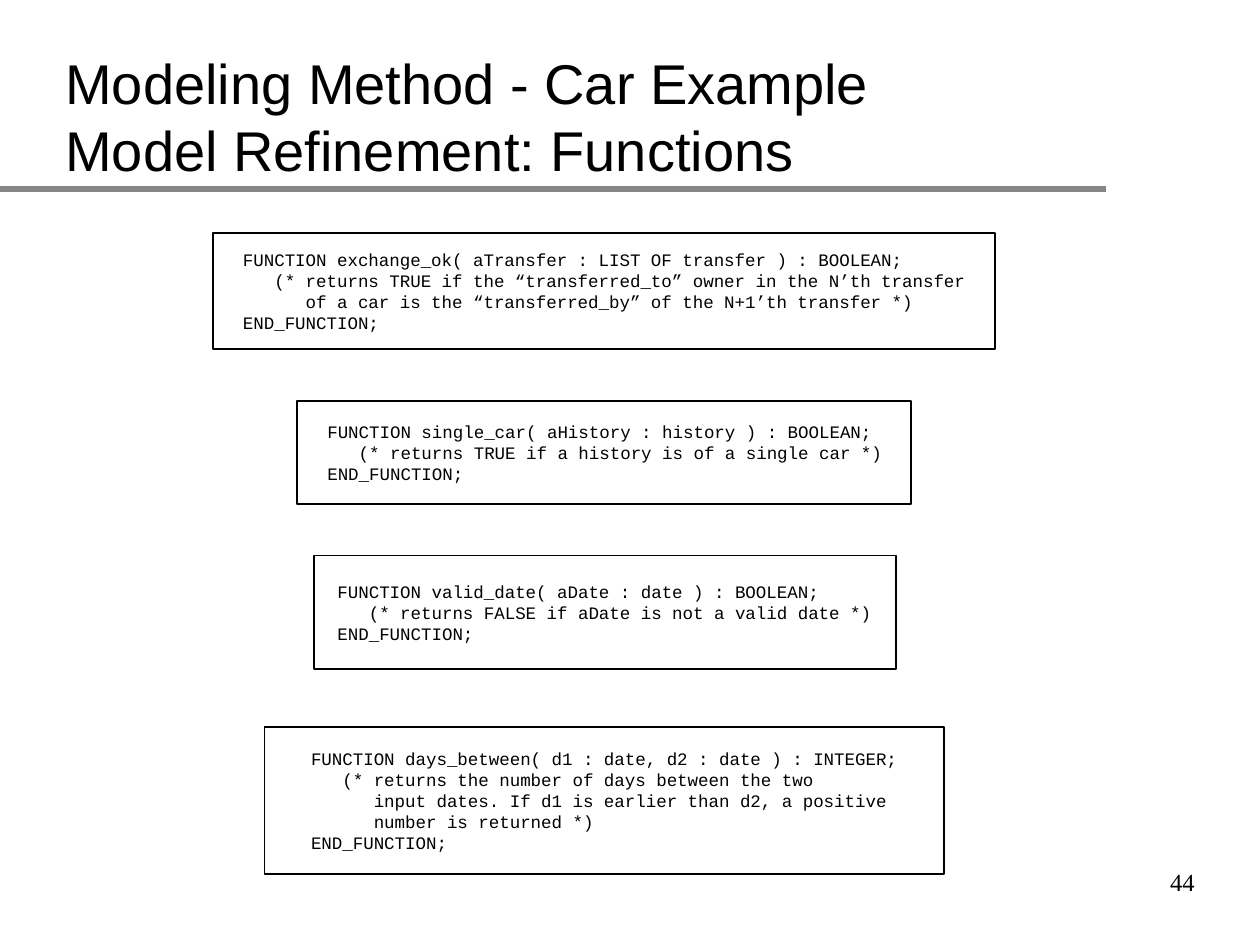
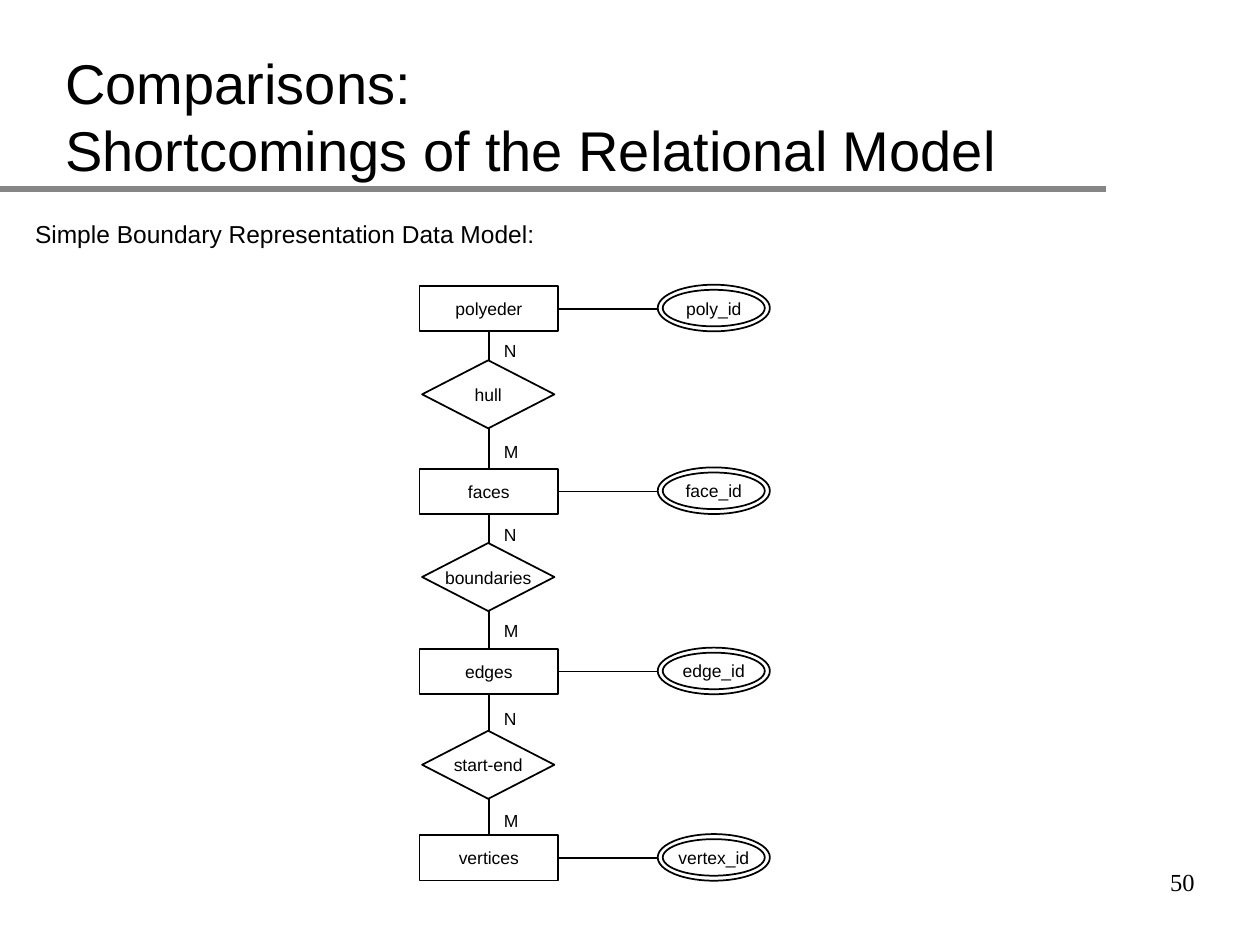
from lxml.etree import SubElement
from pptx import Presentation
from pptx.dml.color import RGBColor
from pptx.enum.shapes import MSO_CONNECTOR, MSO_SHAPE
from pptx.enum.text import MSO_ANCHOR, PP_ALIGN
from pptx.oxml.ns import qn
from pptx.util import Pt

PX = 9144  # one px is a hundredth of an inch
BLACK, WHITE, BAND_GREY = "000000", "FFFFFF", "868686"
SANS, MONO, SERIF = "Arial", "Courier New", "Times New Roman"
LEADING = 1.2  # line pitch relative to the text size

FUNCTIONS = [  # frame box, offset of the code in it, code lines
    ((169, 185, 621, 92), (14, 8), [
        "FUNCTION exchange_ok( aTransfer : LIST OF transfer ) : BOOLEAN;",
        "   (* returns TRUE if the “transferred_to” owner in the N’th transfer",
        "      of a car is the “transferred_by” of the N+1’th transfer *)",
        "END_FUNCTION;"]),
    ((236, 318, 487, 82), (14, 11), [
        "FUNCTION single_car( aHistory : history ) : BOOLEAN;",
        "   (* returns TRUE if a history is of a single car *)",
        "END_FUNCTION;"]),
    ((249, 441, 462, 90), (9, 15), [
        "FUNCTION valid_date( aDate : date ) : BOOLEAN;",
        "   (* returns FALSE if aDate is not a valid date *)",
        "END_FUNCTION;"]),
    ((210, 577, 539, 117), (27, 12), [
        "FUNCTION days_between( d1 : date, d2 : date ) : INTEGER;",
        "   (* returns the number of days between the two",
        "      input dates. If d1 is earlier than d2, a positive",
        "      number is returned *)",
        "END_FUNCTION;"]),
]

# Tops are measured from the top of the diagram
ENTITIES = [("polyeder", "poly_id", 1), ("faces", "face_id", 146),
            ("edges", "edge_id", 289), ("vertices", "vertex_id", 437)]
RELATIONS = [("hull", 60), ("boundaries", 205), ("start-end", 354)]
CARDINALITIES = [("N", 39), ("M", 119), ("N", 185),
                 ("M", 261), ("N", 331), ("M", 412)]


def emu(*lengths):
    return [round(length * PX) for length in lengths]


def color(value):
    return RGBColor.from_string(value)


def write(shape, lines, size, font=SANS, align=PP_ALIGN.LEFT,
          anchor=MSO_ANCHOR.TOP, wrap=False):
    frame = shape.text_frame
    frame.word_wrap = wrap
    frame.vertical_anchor = anchor
    for number, line in enumerate(lines):
        paragraph = frame.add_paragraph() if number else frame.paragraphs[0]
        paragraph.alignment = align
        paragraph.line_spacing = Pt(size * LEADING)
        run = paragraph.add_run()
        run.text = line
        run.font.size = Pt(size)
        run.font.name = font
        run.font.color.rgb = color(BLACK)


def add_text(slide, box, lines, size, **style):
    write(slide.shapes.add_textbox(*emu(*box)), lines, size, **style)


def add_outline(slide, kind, box, label=None):
    outline = slide.shapes.add_shape(kind, *emu(*box))
    outline.shadow.inherit = False
    outline.fill.solid()
    outline.fill.fore_color.rgb = color(WHITE)
    outline.line.color.rgb = color(BLACK)
    outline.line.width = Pt(1)
    if label:
        write(outline, [label], 10, align=PP_ALIGN.CENTER,
              anchor=MSO_ANCHOR.MIDDLE)


def add_line(slide, ends, stroke=BLACK, width=1):
    line = slide.shapes.add_connector(MSO_CONNECTOR.STRAIGHT, *emu(*ends))
    line.line.color.rgb = color(stroke)
    line.line.width = Pt(width)
    SubElement(line._element.spPr, qn("a:effectLst"))


def add_base(deck, title_lines, page):
    """Slide with the shared band, page number and title."""
    slide = deck.slides.add_slide(deck.slide_layouts[6])
    add_line(slide, (0, 150, 878, 150), BAND_GREY, 4)
    add_text(slide, (750, 675, 208, 50), [page], 14, font=SERIF,
             align=PP_ALIGN.RIGHT, anchor=MSO_ANCHOR.MIDDLE)
    add_text(slide, (42, 29, 850, 121), title_lines, 32,
             anchor=MSO_ANCHOR.BOTTOM, wrap=True)
    return slide


def add_function(slide, box, offset, code):
    """Framed code; its text box reaches the right edge of the frame."""
    left, top, width, height = box
    dx, dy = offset
    add_outline(slide, MSO_SHAPE.RECTANGLE, box)
    add_text(slide, (left + dx, top + dy, width - dx, height - 2 * dy),
             code, 10, font=MONO, wrap=True)


def add_entity(slide, box, name, key):
    """Entity, its key in a double ellipse, and the line between them."""
    left, top, width, height = box
    middle = top + height / 2
    add_line(slide, (left + width / 2, middle, left + 230, middle))
    add_outline(slide, MSO_SHAPE.OVAL, (left + 189, top - 1, 89, 37))
    add_outline(slide, MSO_SHAPE.OVAL, (left + 193, top + 3, 81, 29), key)
    add_outline(slide, MSO_SHAPE.RECTANGLE, box, name)


def add_diagram(slide, box):
    left, top, width, height = box
    axis = left + 55
    # Spine through all entities and relations
    add_line(slide, (axis, top + 16, axis, top + height - 21))
    for relation, dy in RELATIONS:
        add_outline(slide, MSO_SHAPE.DIAMOND, (left + 2, top + dy, 105, 54),
                    relation)
    for entity, key, dy in ENTITIES:
        add_entity(slide, (left, top + dy, 110, 36), entity, key)
    for cardinality, dy in CARDINALITIES:
        add_text(slide, (axis + 2, top + dy, 31, 27), [cardinality], 10)


def build_functions_slide(deck):
    slide = add_base(deck, ["Modeling Method - Car Example",
                            "Model Refinement: Functions"], "44")
    for box, offset, code in FUNCTIONS:
        add_function(slide, box, offset, code)


def build_relational_slide(deck):
    slide = add_base(deck, ["Comparisons:",
                            "Shortcomings of the Relational Model"], "50")
    add_diagram(slide, (333, 226, 278, 473))
    add_text(slide, (18, 169, 417, 33),
             ["Simple Boundary Representation Data Model:"], 14)


def main():
    deck = Presentation()
    deck.slide_width, deck.slide_height = emu(1000, 750)
    build_functions_slide(deck)
    build_relational_slide(deck)
    deck.save("out.pptx")


if __name__ == "__main__":
    main()
